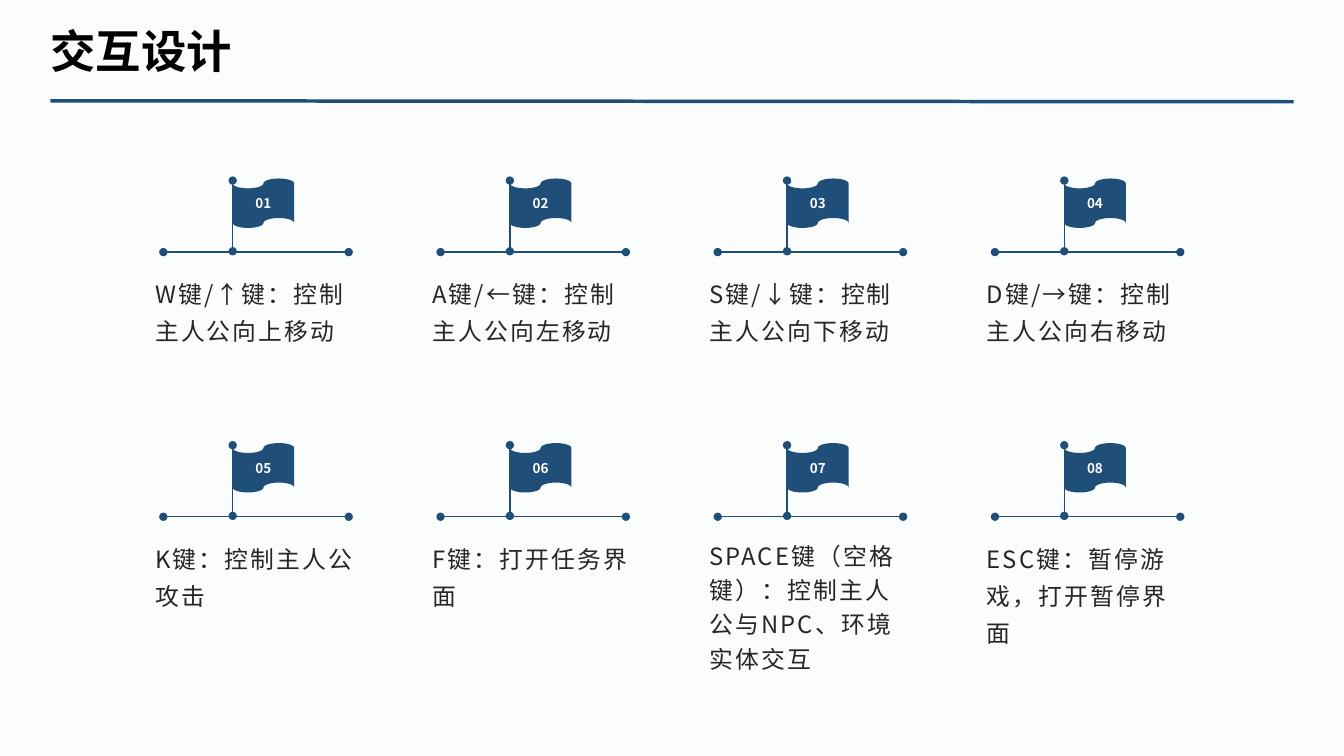
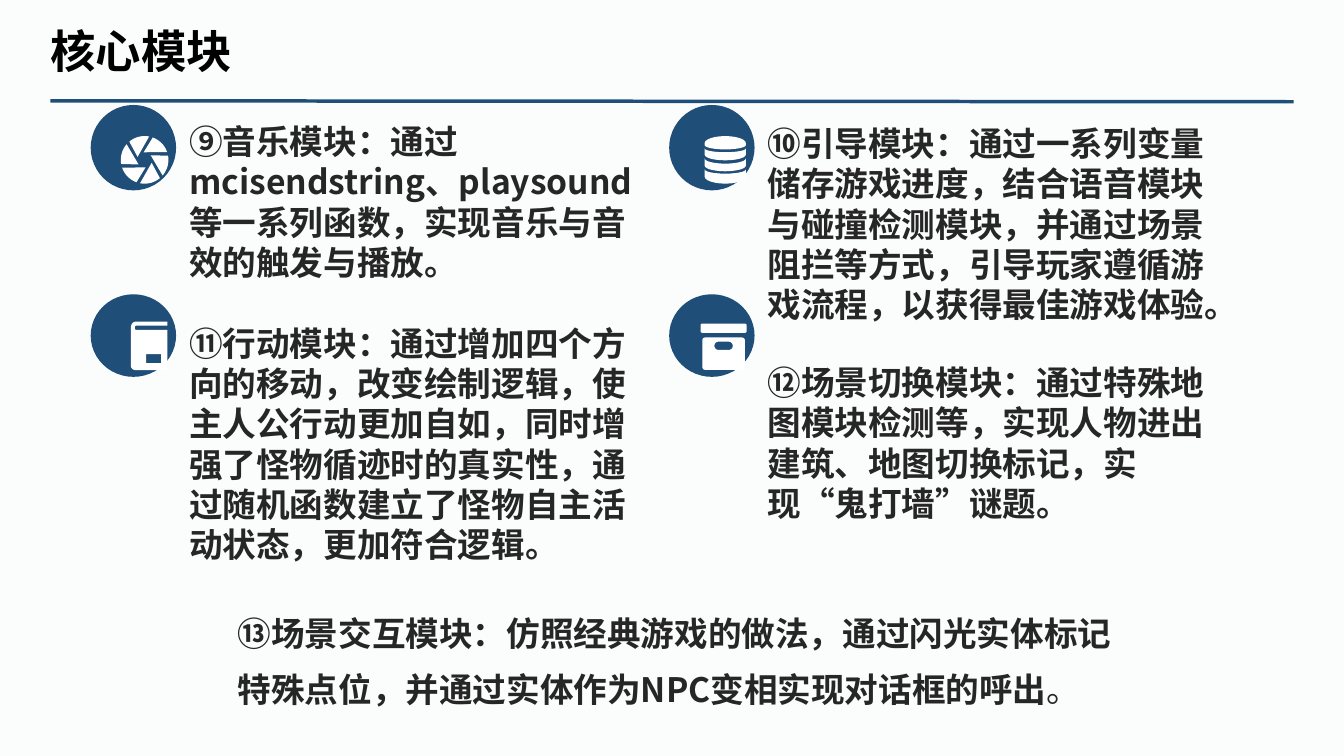
"""Builds two slides: the key controls and the core modules of a game."""
from math import cos, pi, radians, sin

from lxml import etree
from pptx import Presentation
from pptx.dml.color import RGBColor
from pptx.enum.shapes import MSO_CONNECTOR, MSO_SHAPE
from pptx.enum.text import MSO_ANCHOR, MSO_AUTO_SIZE, PP_ALIGN
from pptx.oxml.ns import qn
from pptx.util import Pt

LINE = MSO_CONNECTOR.STRAIGHT
FLAG, CIRCLE = MSO_SHAPE.FLOWCHART_PUNCHED_TAPE, MSO_SHAPE.OVAL
MIDDLE, NO_FIT = MSO_ANCHOR.MIDDLE, MSO_AUTO_SIZE.NONE
LEFT, CENTER = PP_ALIGN.LEFT, PP_ALIGN.CENTER

COLORS = {"back": "FBFCFC", "navy": "1F4E78", "title": "000000",
          "text": "262626", "white": "FFFFFF"}
FONT = "Noto Sans CJK SC"
TITLE_ONLY = 5

KEYS = [
    ("W键/↑键：控制主人公向上移动", 1.3),
    ("A键/←键：控制主人公向左移动", 1.3),
    ("S键/↓键：控制主人公向下移动", 1.3),
    ("D键/→键：控制主人公向右移动", 1.3),
    ("K键：控制主人公攻击", 1.3),
    ("F键：打开任务界面", 1.3),
    ("SPACE键（空格键）：控制主人公与NPC、环境实体交互", 1.2),
    ("ESC键：暂停游戏，打开暂停界面", 1.3),
]


def color(name):
    """Return the named palette colour."""
    return RGBColor.from_string(COLORS[name])


def add_run(p, text, size, col, bold=False, spacing=0):
    """Add one formatted run to a paragraph."""
    r = p.add_run()
    r.text = text
    r.font.size, r.font.bold, r.font.name = Pt(size), bold, FONT
    r.font.color.rgb = color(col)
    rPr = r.font._element
    etree.SubElement(rPr, qn("a:ea")).set("typeface", FONT)
    if spacing:
        rPr.set("spc", str(int(spacing * 100)))


def add_text(s, x, y, w, h):
    """Add a wrapping text box and return its first paragraph."""
    tf = s.shapes.add_textbox(Pt(x), Pt(y), Pt(w), Pt(h)).text_frame
    tf.word_wrap = True
    return tf.paragraphs[0]


def paint(sp, col):
    """Give a shape a plain fill without line or shadow."""
    sp.shadow.inherit = False
    sp.fill.solid()
    sp.fill.fore_color.rgb = color(col)
    sp.line.fill.background()
    return sp


def add_shape(s, kind, x, y, w, h):
    """Add a navy preset shape."""
    return paint(s.shapes.add_shape(kind, Pt(x), Pt(y), Pt(w), Pt(h)), "navy")


def add_line(s, x1, y1, x2, y2, width, dots=False):
    """Add a navy line, with round ends if asked."""
    c = s.shapes.add_connector(LINE, Pt(x1), Pt(y1), Pt(x2), Pt(y2))
    c.line.width = Pt(width)
    c.line.color.rgb = color("navy")
    if dots:
        for end in ("a:headEnd", "a:tailEnd"):
            etree.SubElement(c.line._get_or_add_ln(), qn(end)).set("type", "oval")
    etree.SubElement(c._element.spPr, qn("a:effectLst"))


def add_icon(s, contours, x, y, w, h):
    """Draw contours given in a unit square as one white shape in a box."""
    scaled = [[(Pt(x + u * w), Pt(y + v * h)) for u, v in c] for c in contours]
    fb = s.shapes.build_freeform(*scaled[0][0], scale=1.0)
    fb.add_line_segments(scaled[0][1:], close=True)
    for start, *rest in scaled[1:]:
        fb.move_to(*start)
        fb.add_line_segments(rest, close=True)
    paint(fb.convert_to_shape(), "white")


def arc(cx, cy, rx, ry, start, end, steps=12):
    """Return points along an elliptical arc, in degrees."""
    angles = [radians(start + (end - start) * i / steps) for i in range(steps + 1)]
    return [(cx + rx * cos(a), cy + ry * sin(a)) for a in angles]


def round_rect(x1, y1, x2, y2, r):
    """Return the outline of a rounded rectangle."""
    corners = [(x2 - r, y2 - r), (x1 + r, y2 - r), (x1 + r, y1 + r), (x2 - r, y1 + r)]
    return [pt for i, (cx, cy) in enumerate(corners)
            for pt in arc(cx, cy, r, r, 90 * i, 90 * i + 90, 5)]


def aperture():
    """Return six shutter blades, each turned by sixty degrees."""
    inner, inner_angle = 0.16, 83 * pi / 180
    return [[(0.5 + inner * cos(inner_angle + k * pi / 3),
              0.5 + inner * sin(inner_angle + k * pi / 3))]
            + arc(0.5, 0.5, 0.5, 0.5, 110 + 60 * k, 161 + 60 * k)
            for k in range(6)]


def database():
    """Return a stack of four discs."""
    discs = [(0.15, -0.15, 0.19, 0.09), (0.26, 0.08, 0.39, 0.12),
             (0.47, 0.11, 0.62, 0.12), (0.7, 0.09, 0.85, 0.15)]
    return [arc(0.5, top, 0.5, bow, 180, 0) + arc(0.5, low, 0.5, sag, 0, 180)
            for top, bow, low, sag in discs]


def book():
    """Return a closed book with a label cut out."""
    cover = ([(1, 0.08), (1, 0)] + arc(0.13, 0.12, 0.13, 0.12, 270, 180)
             + arc(0.12, 0.91, 0.12, 0.09, 180, 90) + [(1, 1), (1, 0.17)]
             + arc(0.14, 0.125, 0.03, 0.045, 90, 270))
    return [cover, [(0.42, 0.67), (0.83, 0.67), (0.83, 0.86), (0.42, 0.86)]]


def archive_box():
    """Return a lidded box with a handle cut out."""
    return [round_rect(0, 0, 1, 0.2, 0.04), round_rect(0.04, 0.3, 0.96, 1, 0.06),
            round_rect(0.3, 0.39, 0.7, 0.57, 0.09)]


def add_slide(prs, title):
    """Add a slide with background, title and rule."""
    s = prs.slides.add_slide(prs.slide_layouts[TITLE_ONLY])
    s.background.fill.solid()
    s.background.fill.fore_color.rgb = color("back")
    add_line(s, 36, 72, 924, 72.7, 2.5)
    sp = s.shapes.title
    sp.left, sp.top, sp.width, sp.height = Pt(36), Pt(12), Pt(888), Pt(48)
    tf = sp.text_frame
    tf.margin_left = tf.margin_top = tf.margin_right = tf.margin_bottom = 0
    tf.vertical_anchor, tf.auto_size, tf.word_wrap = MIDDLE, NO_FIT, True
    p = tf.paragraphs[0]
    p.alignment = LEFT
    add_run(p, title, 32.4, "title", True)
    return s


def add_key(s, x, y, number, text, spacing):
    """Place a numbered flag on its ground line above a key description."""
    p = add_text(s, x, y + 62.6, 158.4, 105.8)
    p.line_spacing = spacing
    add_run(p, text, 17, "text", spacing=1.5)
    add_line(s, x + 13, y + 52.6, x + 145.4, y + 52.6, 1, True)
    flag = add_shape(s, FLAG, x + 62.5, y, 44, 35.3)
    tf = flag.text_frame
    tf.vertical_anchor = MIDDLE
    p = tf.paragraphs[0]
    p.alignment = CENTER
    add_run(p, f"{number:02d}", 9.6, "white", True)
    add_line(s, x + 62.5, y + 1.5, x + 62.5, y + 52, 1, True)


def add_module(s, x, y, h, contours, icon_box, text, text_y):
    """Place a round icon with a module description beside it."""
    add_shape(s, CIRCLE, x, y, 61, h)
    dx, dy, iw, ih = icon_box
    add_icon(s, contours, x + dx, y + dy, iw, ih)
    p = add_text(s, x + 63.2, y + text_y, 344.9, 26)
    add_run(p, text, 24, "text", True)


def controls_slide(prs):
    """Build the grid of key controls."""
    s = add_slide(prs, "交互设计")
    for i, (text, spacing) in enumerate(KEYS):
        row, col = divmod(i, 4)
        add_key(s, 103.7 + 198 * col, 127.5 + 189 * row, i + 1, text, spacing)


def modules_slide(prs):
    """Build the core modules and the closing paragraph."""
    s = add_slide(prs, "核心模块")
    modules = [
        (aperture(), (21.5, 22.2, 34, 34), 7.8,
         "⑨音乐模块：通过mcisendstring、playsound等一系列函数，"
         "实现音乐与音效的触发与播放。"),
        (database(), (25.3, 22.2, 29.5, 34), 9.3,
         "⑩引导模块：通过一系列变量储存游戏进度，结合语音模块与碰撞检测模块，"
         "并通过场景阻拦等方式，引导玩家遵循游戏流程，以获得最佳游戏体验。"),
        (book(), (28.7, 19.6, 26, 34.5), 16.6,
         "⑪行动模块：通过增加四个方向的移动，改变绘制逻辑，使主人公行动更加自如，"
         "同时增强了怪物循迹时的真实性，通过随机函数建立了怪物自主活动状态，更加符合逻辑。"),
        (archive_box(), (22.4, 21, 33, 33), 44.7,
         "⑫场景切换模块：通过特殊地图模块检测等，实现人物进出建筑、地图切换标记，"
         "实现“鬼打墙”谜题。"),
    ]
    for i, (contours, icon_box, text_y, text) in enumerate(modules):
        row, col = divmod(i, 2)
        add_module(s, 64.8 + 413.2 * col, 75 + 135.2 * row, 61 - 2 * row,
                   contours, icon_box, text, text_y)
    p = add_text(s, 162.7, 422.6, 645, 97)
    p.line_spacing = 1.4
    add_run(p, "⑬场景交互模块：仿照经典游戏的做法，通过闪光实体标记特殊点位，"
               "并通过实体作为NPC变相实现对话框的呼出", 24, "text", True)
    add_run(p, "。", 24, "text")


def main():
    """Build and save the presentation."""
    prs = Presentation()
    prs.slide_width, prs.slide_height = Pt(960), Pt(540)
    controls_slide(prs)
    modules_slide(prs)
    prs.save("out.pptx")


if __name__ == "__main__":
    main()
